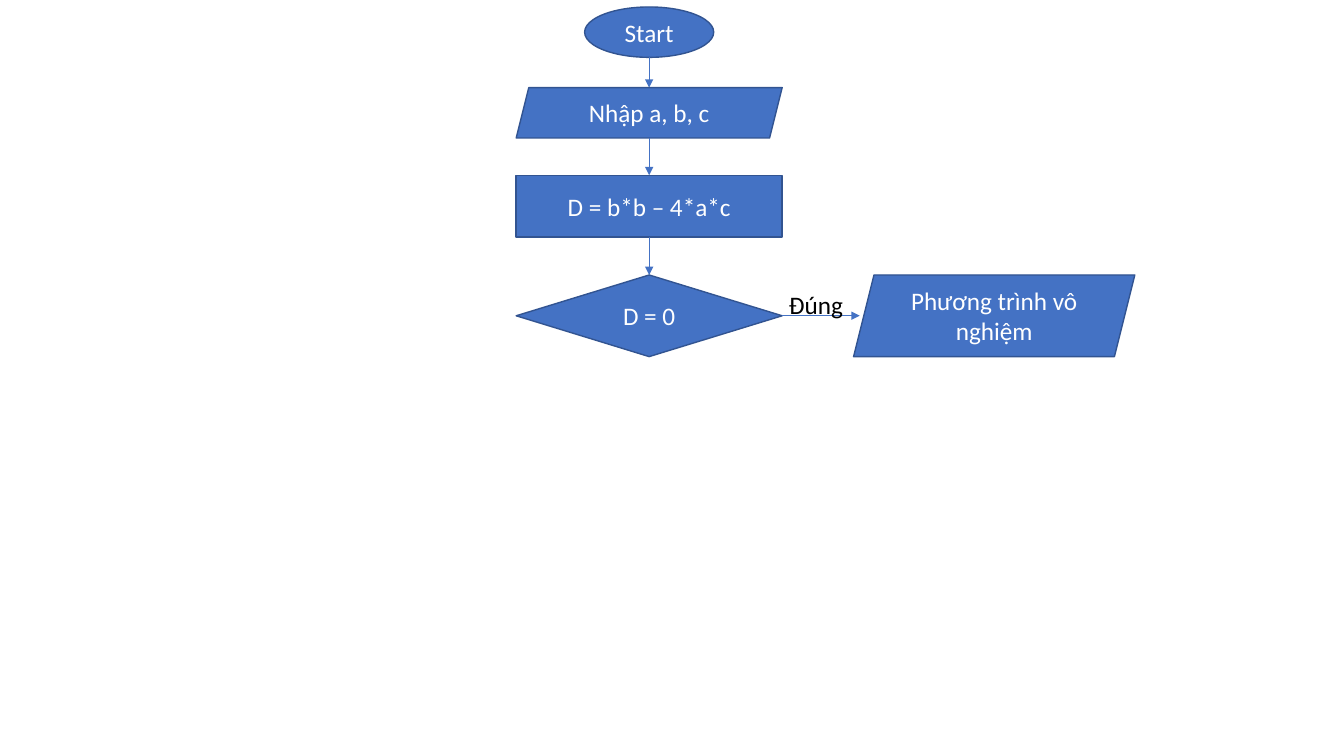
from lxml import etree
from pptx import Presentation
from pptx.dml.color import RGBColor
from pptx.enum.shapes import MSO_CONNECTOR, MSO_SHAPE
from pptx.enum.text import MSO_ANCHOR, PP_ALIGN
from pptx.oxml.ns import qn
from pptx.util import Pt

OVAL, INPUT = MSO_SHAPE.OVAL, MSO_SHAPE.PARALLELOGRAM
PROCESS, DECISION = MSO_SHAPE.RECTANGLE, MSO_SHAPE.DIAMOND
STRAIGHT = MSO_CONNECTOR.STRAIGHT
MIDDLE, TOP = MSO_ANCHOR.MIDDLE, MSO_ANCHOR.TOP
CENTER, LEFT = PP_ALIGN.CENTER, PP_ALIGN.LEFT
BLUE, OUTLINE, WHITE, BLACK = "4472C4", "325491", "FFFFFF", "000000"
TOP_SIDE, BOTTOM_SIDE, RIGHT_SIDE = 0, 2, 3


def rgb(code):
    """Turn a hex string into a colour."""
    return RGBColor.from_string(code)


def write(s, text, color, align, anchor):
    """Put one formatted paragraph in a shape."""
    tf = s.text_frame
    tf.word_wrap = True
    tf.vertical_anchor = anchor
    p = tf.paragraphs[0]
    p.alignment = align
    r = p.add_run()
    r.text = text
    for name, value in {"name": "Calibri", "size": Pt(18)}.items():
        setattr(r.font, name, value)
    r.font.color.rgb = rgb(color)


def add_node(slide, kind, text, x, y, w, h):
    """Add one flowchart symbol with its text."""
    s = slide.shapes.add_shape(kind, Pt(x), Pt(y), Pt(w), Pt(h))
    s.shadow.inherit = False
    s.fill.solid()
    s.fill.fore_color.rgb = rgb(BLUE)
    s.line.color.rgb = rgb(OUTLINE)
    s.line.width = Pt(1)
    write(s, text, WHITE, CENTER, MIDDLE)
    return s


def add_arrow(slide, x1, y1, x2, y2):
    """Add a thin arrow between two points."""
    s = slide.shapes.add_connector(STRAIGHT, Pt(x1), Pt(y1), Pt(x2), Pt(y2))
    s.line.color.rgb = rgb(BLUE)
    s.line.width = Pt(0.5)
    etree.SubElement(s.line._get_or_add_ln(), qn("a:tailEnd"), type="triangle")
    etree.SubElement(s._element.spPr, qn("a:effectLst"))
    return s


def add_main_flow(slide, x, y, w):
    """Stack the main steps in a column, join them and return the last."""
    steps = [
        (OVAL, "Start", 92.2, 36, 21.6),
        (INPUT, "Nhập a, b, c", w, 36, 26.6),
        (PROCESS, "D = b*b – 4*a*c", w, 44.2, 27),
        (DECISION, "D = 0", w, 58.3, 0),
    ]
    center = x + w / 2
    arrow = None
    for kind, text, width, height, gap in steps:
        s = add_node(slide, kind, text, center - width / 2, y, width, height)
        if kind in (PROCESS, DECISION):
            arrow.end_connect(s, TOP_SIDE)
        y += height
        if gap:
            arrow = add_arrow(slide, center, y, center, y + gap)
            if kind == PROCESS:
                arrow.begin_connect(s, BOTTOM_SIDE)
            y += gap
    return s


def add_true_branch(slide, decision, x, y, w, h):
    """Add the result of the true branch, with its arrow and label."""
    start = decision.left.pt + decision.width.pt
    arrow = add_arrow(slide, start, y + h / 2, x + 4.4, y + h / 2)
    arrow.begin_connect(decision, RIGHT_SIDE)
    add_node(slide, INPUT, "Phương trình vô nghiệm", x, y, w, h)
    label = slide.shapes.add_textbox(Pt(start - 6.5), Pt(y + 6.5), Pt(62), Pt(29))
    label.text_frame.margin_left = Pt(11.3)
    write(label, "Đúng", BLACK, LEFT, TOP)


def main():
    """Build the flowchart slide."""
    prs = Presentation()
    prs.slide_width, prs.slide_height = Pt(960), Pt(540)
    slide = prs.slides.add_slide(prs.slide_layouts[6])
    decision = add_main_flow(slide, 368.7, 5, 190)
    add_true_branch(slide, decision, 609.7, decision.top.pt, 200.9, 58.3)
    prs.save("out.pptx")


if __name__ == "__main__":
    main()
